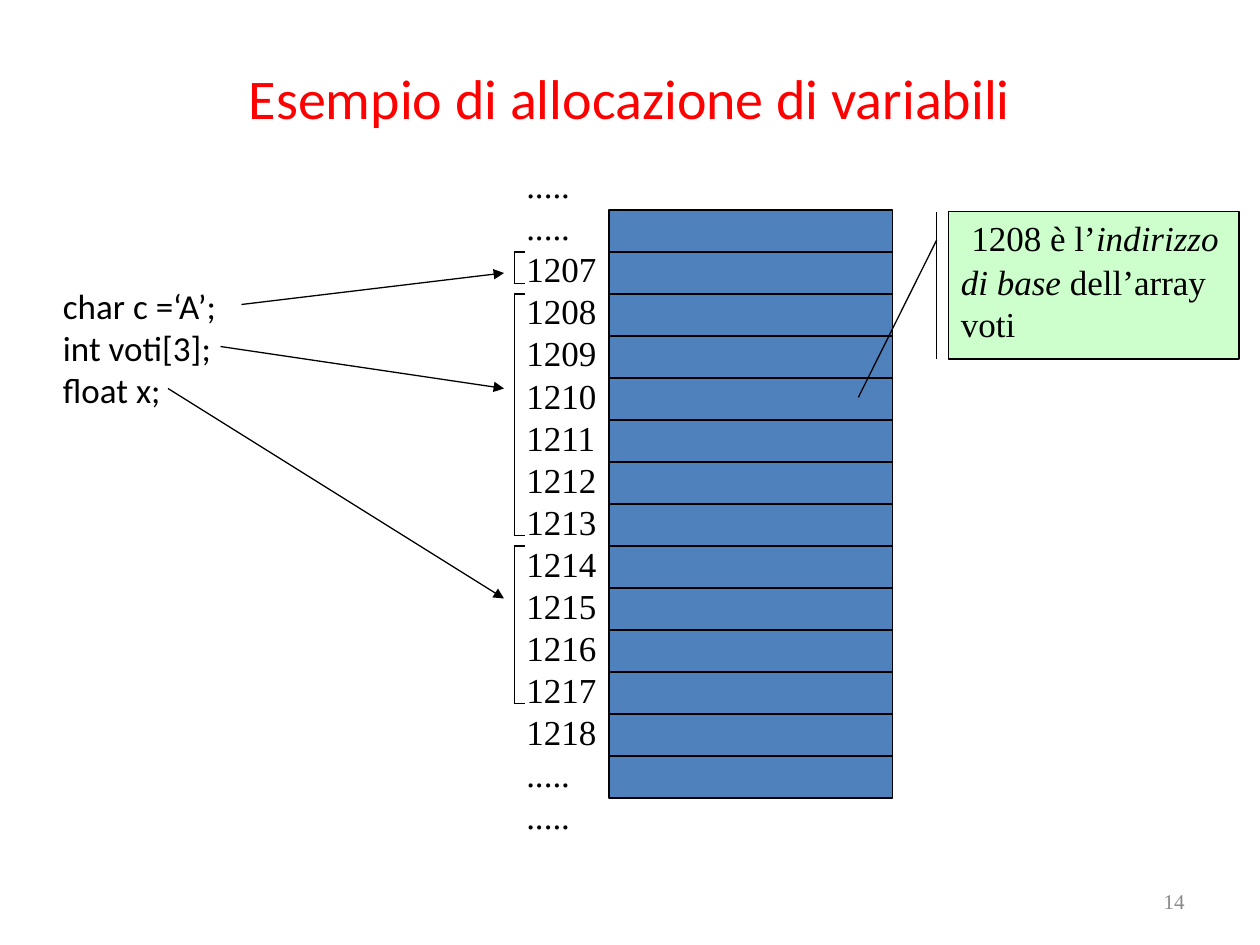
from pptx import Presentation
from pptx.dml.color import RGBColor as Rgb
from pptx.enum.shapes import MSO_CONNECTOR as Line, MSO_SHAPE as Kind
from pptx.enum.text import MSO_ANCHOR as Anchor, PP_ALIGN as Align
from pptx.oxml.ns import qn
from pptx.util import Cm, Pt
from lxml.etree import SubElement

COLORS = {
    "title": "FF0000",
    "ink": "000000",
    "cell": "4F81BD",
    "note": "CCFFCC",
    "page": "898989",
}
SANS, SERIF = "Calibri", "Times New Roman"
STEP = 2.54 / 12  # the memory drawing sits on a grid of 12 steps to the inch


def color(name):
    return Rgb.from_string(COLORS[name])


def grid(*steps):
    return [Cm(n * STEP) for n in steps]


class Page:
    def __init__(self, slide, size=20, width=0.75, pitch=24):
        self.slide = slide
        self.size = Pt(size)
        self.width = Pt(width)
        self.pitch = Pt(pitch)

    def style(self, para, face, ink="ink", size=None):
        font = para.font
        font.name = face
        font.size = size or self.size
        font.color.rgb = color(ink)

    def text(self, box, lines, face, ink="ink", size=None,
             align=Align.LEFT, anchor=Anchor.TOP):
        frame = self.slide.shapes.add_textbox(*map(Cm, box)).text_frame
        frame.word_wrap = True
        frame.vertical_anchor = anchor
        frame.text = "\n".join(lines)
        for para in frame.paragraphs:
            para.alignment = align
            self.style(para, face, ink, size)
            if len(lines) > 1:
                para.line_spacing = self.pitch

    def shape(self, kind, box, fill):
        item = self.slide.shapes.add_shape(kind, *box)
        item.shadow.inherit = False
        item.fill.solid()
        item.fill.fore_color.rgb = color(fill)
        item.line.color.rgb = color("ink")
        item.line.width = self.width
        return item

    def line(self, *ends, arrow=False):
        item = self.slide.shapes.add_connector(Line.STRAIGHT, *grid(*ends))
        item.line.color.rgb = color("ink")
        item.line.width = self.width
        if arrow:
            SubElement(item.line._get_or_add_ln(), qn("a:tailEnd"), type="triangle")
        SubElement(item._element.spPr, qn("a:effectLst"))

    def bracket(self, top, end):
        self.line(49, top, 49, end)
        for y in (top, end):
            self.line(49, y, 50, y)

    def note(self, box, runs, tip):
        item = self.shape(Kind.LINE_CALLOUT_1_BORDER_AND_ACCENT_BAR,
                          [Cm(n) for n in box], "note")
        for i, value in enumerate(tip):
            item.adjustments[i] = value
        frame = item.text_frame
        frame.word_wrap = True
        frame.vertical_anchor = Anchor.TOP
        para = frame.paragraphs[0]
        para.alignment = Align.LEFT
        para.line_spacing = self.pitch
        para.space_before = Pt(5)
        self.style(para, SERIF)
        for words, slant in runs:
            run = para.add_run()
            run.text = words
            run.font.italic = slant
        para.runs[0].font.size = Pt(24)


def main():
    deck = Presentation()
    deck.slide_width, deck.slide_height = Cm(25.4), Cm(19.05)
    page = Page(deck.slides.add_slide(deck.slide_layouts[6]))

    # Page number and title
    page.text((18.21, 17.65, 5.92, 1.02), ["14"], SERIF, "page", Pt(12),
              Align.RIGHT, Anchor.MIDDLE)
    page.text((1.27, 0.76, 22.86, 2.41), ["Esempio di allocazione di variabili"],
              SANS, "title", Pt(32), Align.CENTER, Anchor.MIDDLE)

    # Declarations and memory addresses
    page.text((1.02, 5.61, 5.13, 3.66),
              ["char c =‘A’;", "int voti[3];", "float x;"], SANS)
    dots = ["....."] * 2
    page.text((10.36, 3.18, 2.54, 13.82),
              dots + [str(n) for n in range(1207, 1219)] + dots, SERIF)

    # Memory cells
    for i in range(14):
        page.shape(Kind.RECTANGLE, grid(58, 20 + 4 * i, 27, 4), "cell")

    # Each variable: arrow to the bracket around its addresses
    for start, tip, span in (
        ((23, 29), 26, (24, 27)),
        ((21, 33), 37, (28, 51)),
        ((16, 37), 57, (52, 67)),
    ):
        page.line(*start, 48, tip, arrow=True)
        page.bracket(*span)

    # Note on the base address
    page.note((19.12, 4.27, 5.86, 2.97),
              [(" ", False), ("1208 è l’", False), ("indirizzo di base", True),
               (" dell’array voti", False)],
              (0.19, -0.04, 1.26, -0.31))

    deck.save("out.pptx")


if __name__ == "__main__":
    main()
